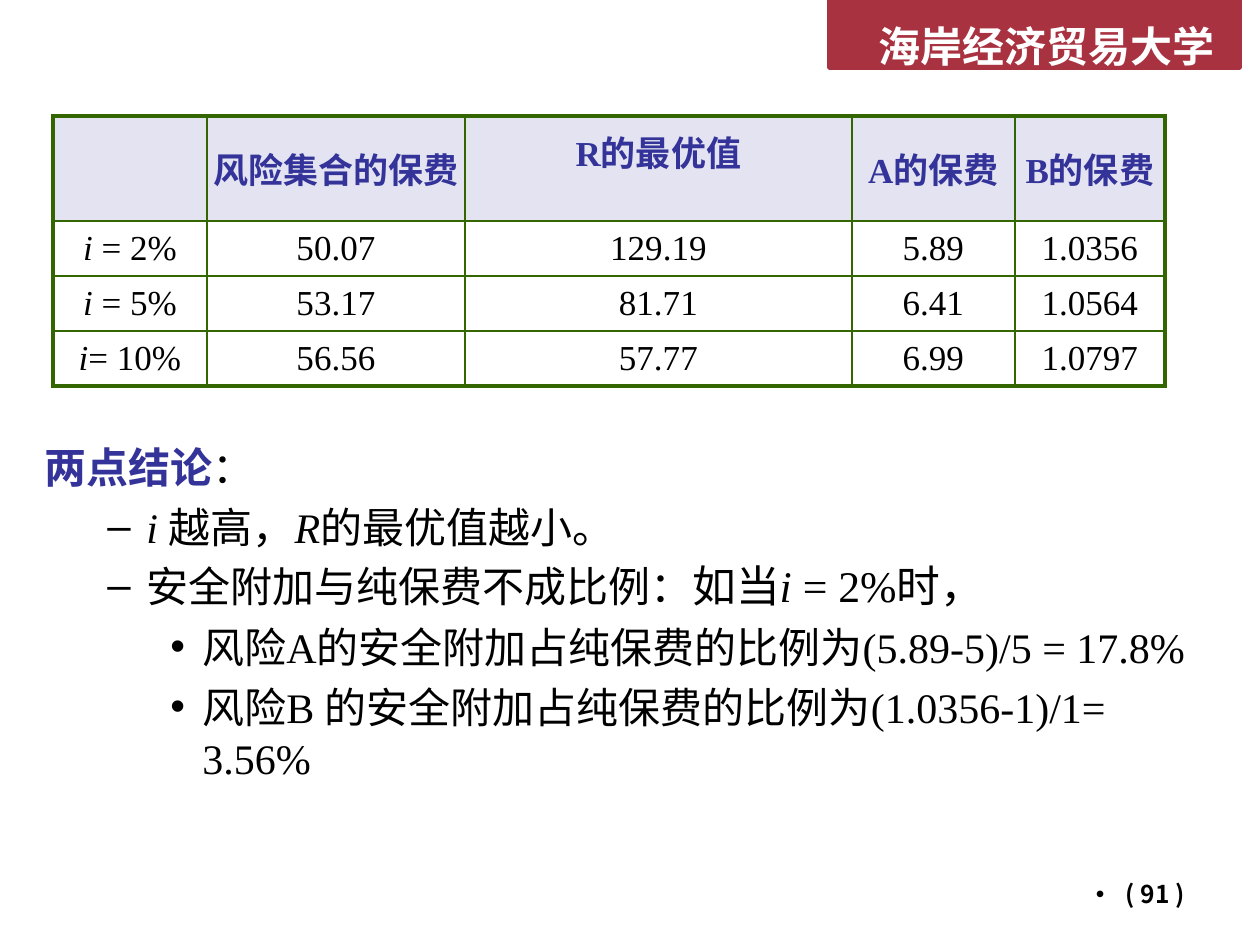
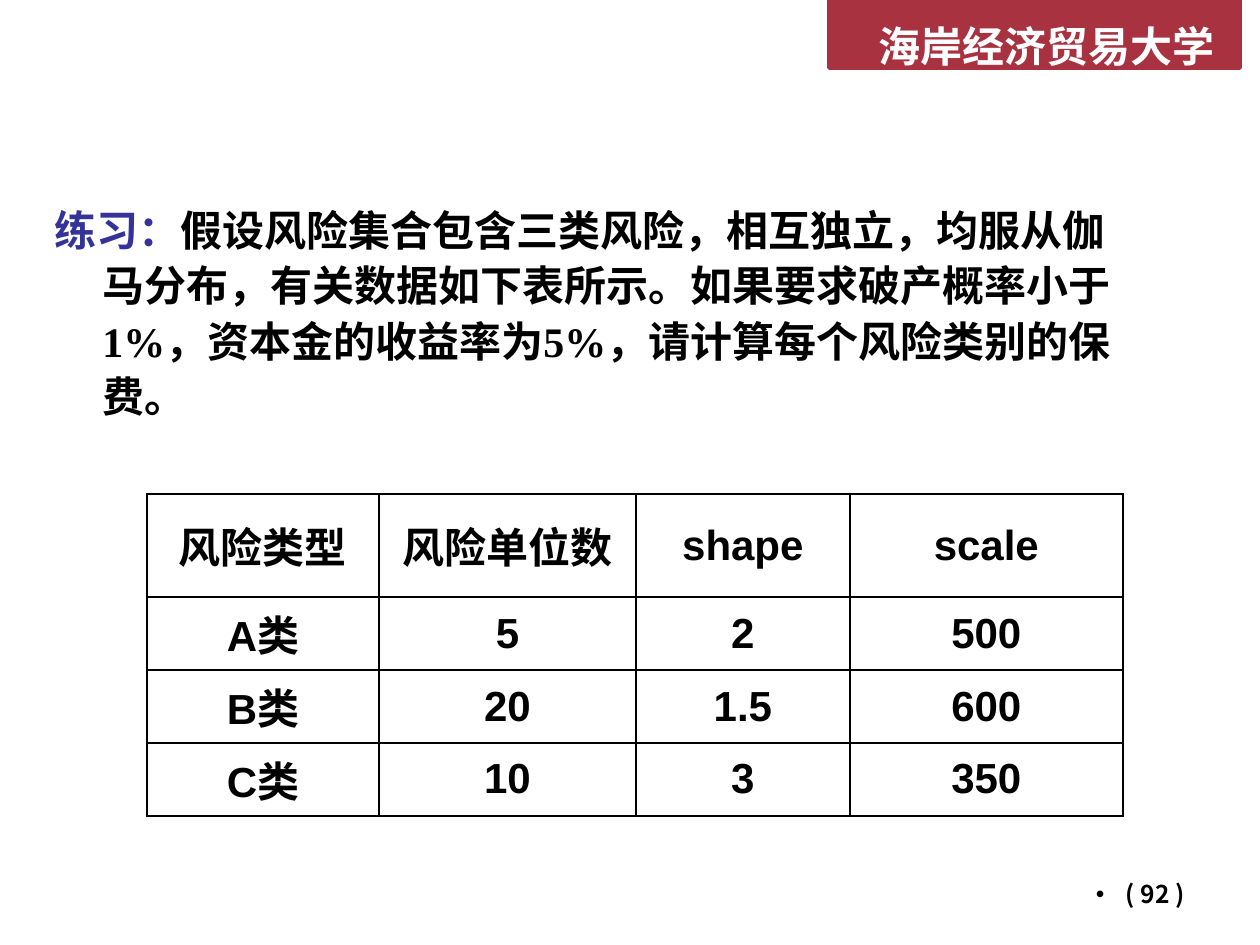
from lxml.etree import SubElement
from pptx import Presentation
from pptx.dml.color import RGBColor
from pptx.enum.shapes import MSO_SHAPE
from pptx.enum.text import MSO_ANCHOR, PP_ALIGN
from pptx.oxml.ns import qn
from pptx.util import Pt

EMU_PER_PX = 914400 / 126
CRIMSON, INDIGO, LAVENDER = "A83240", "333399", "E3E3F1"
GREEN, BLACK, WHITE = "336600", "000000", "FFFFFF"
SERIF, SANS, HAN = "Times New Roman", "Arial", "Noto Sans CJK SC"
ITALIC = {"italic": True}
HEADING = {"bold": True, "color": INDIGO}
# level: (left margin, hanging indent, bullet)
LEVELS = [(48, 48, None), (102, 39, "–"), (158, 32, "•")]


def px(length):
    return round(length * EMU_PER_PX)


def rgb(value):
    return RGBColor.from_string(value)


class Deck:
    def __init__(self):
        self.prs = Presentation()
        self.prs.slide_width, self.prs.slide_height = px(1260), px(945)
        self.slide = None

    def new_slide(self, number):
        self.slide = self.prs.slides.add_slide(self.prs.slide_layouts[6])
        self.band(829, -3, 411, 71)
        frame = self.textbox(866, -6, 390, 78, MSO_ANCHOR.MIDDLE)
        frame.margin_top, frame.margin_bottom = px(26), 0
        self.add_runs(frame.paragraphs[0], ["海岸经济贸易大学"], font=HAN, bold=True, color=WHITE)
        # Page number
        page = self.textbox(903, 861, 294, 66, MSO_ANCHOR.MIDDLE).paragraphs[0]
        page.alignment = PP_ALIGN.RIGHT
        self.indent(page, 30, 30, "•")
        self.add_runs(page, [f"( {number} )"], font=HAN, size=14, bold=True)

    def band(self, left, top, width, height):
        band = self.slide.shapes.add_shape(
            MSO_SHAPE.RECTANGLE, px(left), px(top), px(width), px(height))
        band.shadow.inherit = False
        band.fill.solid()
        band.fill.fore_color.rgb = band.line.color.rgb = rgb(CRIMSON)
        band.line.width = Pt(2)

    def textbox(self, left, top, width, height, anchor=MSO_ANCHOR.TOP):
        frame = self.slide.shapes.add_textbox(
            px(left), px(top), px(width), px(height)).text_frame
        frame.word_wrap = True
        frame.vertical_anchor = anchor
        return frame

    def add_runs(self, paragraph, parts, font=SERIF, size=24, bold=False, color=BLACK):
        """Each part is a string, or a string with its own style."""
        for part in parts:
            text, own = (part, {}) if isinstance(part, str) else part
            run = paragraph.add_run()
            run.text = text
            run.font.name = font
            run.font.size = Pt(own.get("size", size))
            run.font.bold = own.get("bold", bold)
            run.font.italic = own.get("italic", False)
            run.font.color.rgb = rgb(own.get("color", color))
            SubElement(run._r.get_or_add_rPr(), qn("a:ea"), typeface=HAN)

    def indent(self, paragraph, margin, hanging, bullet):
        props = paragraph._p.get_or_add_pPr()
        props.set("marL", str(px(margin)))
        props.set("indent", str(-px(hanging)))
        if bullet:
            SubElement(props, qn("a:buFont"), typeface=SANS)
            SubElement(props, qn("a:buChar"), char=bullet)
        else:
            SubElement(props, qn("a:buNone"))

    def body(self, left, top, width, height, items, line_pitch, bold=False):
        frame = self.textbox(left, top, width, height)
        for index, (level, parts) in enumerate(items):
            paragraph = frame.add_paragraph() if index else frame.paragraphs[0]
            paragraph.line_spacing = Pt(line_pitch)
            paragraph.space_before = Pt(5 if index else 0)
            self.indent(paragraph, *LEVELS[level])
            self.add_runs(paragraph, parts, bold=bold)

    def table(self, left, top, widths, heights, rows, line, inner, outer,
              side_margin, header, text):
        grid = self.slide.shapes.add_table(
            len(rows), len(widths), px(left), px(top),
            px(sum(widths)), px(sum(heights))).table
        grid.first_row = grid.horz_banding = False
        for column, width in zip(grid.columns, widths):
            column.width = px(width)
        for row, height in zip(grid.rows, heights):
            row.height = px(height)
        last_row, last_column = len(rows) - 1, len(widths) - 1
        for r, row in enumerate(rows):
            for c, parts in enumerate(row):
                cell = grid.cell(r, c)
                edges = {"L": c == 0, "R": c == last_column,
                         "T": r == 0, "B": r == last_row}
                for side, is_outer in edges.items():
                    self.border(cell, side, line, outer if is_outer else inner)
                style = dict(text, **header) if r == 0 else dict(text)
                fill = style.pop("fill", None)
                if fill:
                    cell.fill.solid()
                    cell.fill.fore_color.rgb = rgb(fill)
                else:
                    cell.fill.background()
                cell.margin_left = cell.margin_right = px(side_margin)
                cell.margin_top = cell.margin_bottom = px(6)
                cell.vertical_anchor = MSO_ANCHOR.MIDDLE
                paragraph = cell.text_frame.paragraphs[0]
                paragraph.alignment = PP_ALIGN.CENTER
                self.add_runs(paragraph, parts, **style)
        return grid

    def border(self, cell, side, color, width):
        props = cell._tc.get_or_add_tcPr()
        edge = SubElement(props, qn(f"a:ln{side}"), w=str(Pt(width)))
        solid = SubElement(edge, qn("a:solidFill"))
        SubElement(solid, qn("a:srgbClr"), val=color)


def premium_results(deck):
    deck.new_slide(91)
    # Premiums by rate of return
    grid = deck.table(
        53, 116, [154, 258, 387, 163, 150], [105, 55, 55, 55],
        [
            [[], ["风险集合的保费"], ["R的最优值"], ["A的保费"], ["B的保费"]],
            [[("i ", ITALIC), "= 2%"], ["50.07"], ["129.19"], ["5.89"], ["1.0356"]],
            [[("i ", ITALIC), "= 5%"], ["53.17"], ["81.71"], ["6.41"], ["1.0564"]],
            [[("i", ITALIC), "= 10%"], ["56.56"], ["57.77"], ["6.99"], ["1.0797"]],
        ],
        line=GREEN, inner=1.5, outer=2.25, side_margin=0,
        header={"fill": LAVENDER, **HEADING}, text={"size": 20})
    optimum = grid.cell(0, 2)
    optimum.vertical_anchor = MSO_ANCHOR.TOP
    optimum.margin_top = px(10)

    # Conclusions
    deck.body(32, 434, 1187, 415, [
        (0, [("两点结论", HEADING), "："]),
        (1, [("i ", ITALIC), "越高，", ("R", ITALIC), "的最优值越小。"]),
        (1, ["安全附加与纯保费不成比例：", ("如当", {"size": 25}),
             ("i ", {"size": 25, **ITALIC}), ("= 2%时，", {"size": 25})]),
        (2, ["风险A的安全附加占纯保费的比例为(5.89-5)/5 = 17.8%"]),
        (2, ["风险B 的安全附加占纯保费的比例为(1.0356-1)/1= 3.56%"]),
    ], line_pitch=29.3)


def gamma_exercise(deck):
    deck.new_slide(92)
    # Exercise
    deck.body(42, 193, 1103, 326, [
        (0, [("练习：", HEADING),
             "假设风险集合包含三类风险，相互独立，均服从伽马分布，有关数据如下表所示。"
             "如果要求破产概率小于1%，资本金的收益率为5%，请计算每个风险类别的保费。"]),
    ], line_pitch=31.7, bold=True)

    # Gamma parameters by risk class
    classes = [
        ("风险类型", "风险单位数", "shape", "scale"),
        ("A类", "5", "2", "500"),
        ("B类", "20", "1.5", "600"),
        ("C类", "10", "3", "350"),
    ]
    deck.table(
        147, 494, [232, 257, 214, 273], [103, 73, 73, 73],
        [[[value] for value in row] for row in classes],
        line=BLACK, inner=1, outer=1, side_margin=13,
        header={}, text={"font": SANS, "bold": True})


def main():
    deck = Deck()
    premium_results(deck)
    gamma_exercise(deck)
    deck.prs.save("out.pptx")


if __name__ == "__main__":
    main()
